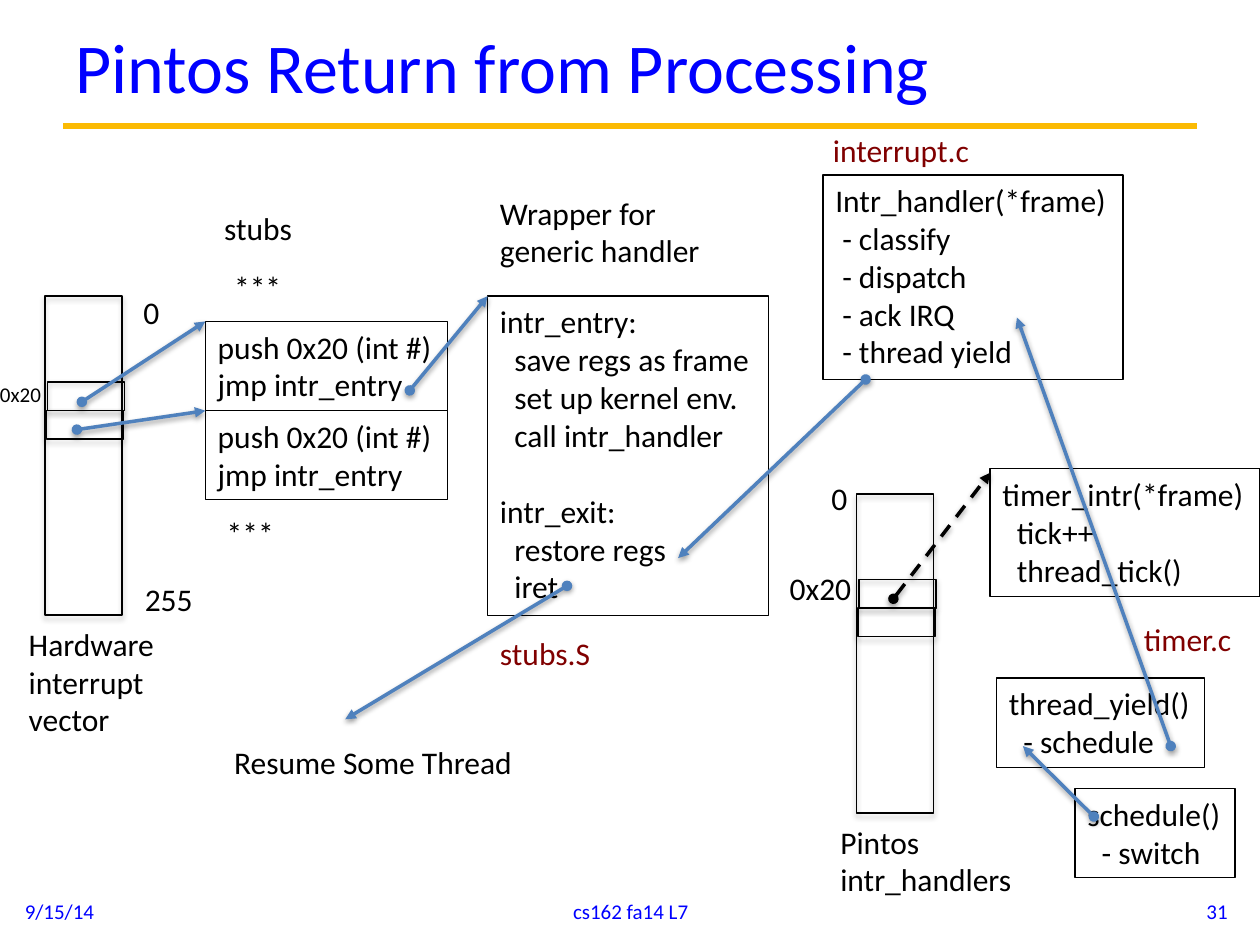
"""Build the slide on how Pintos returns from interrupt processing."""
from lxml import etree
from pptx import Presentation
from pptx import util as u
from pptx.dml.color import RGBColor
from pptx.enum import dml, shapes, text
from pptx.oxml.ns import qn

COLORS = {
    "blue": "0000FF",
    "gold": "FBBA03",
    "black": "000000",
    "arrow": "4F81BD",
    "file": "800000",
}
ALIGN = text.PP_ALIGN
LINE_PER_POINT = 0.043


class Diagram:
    """Hold the style and the current slide, and draw each kind of element."""

    font = "Calibri"
    size = 18

    def __init__(self, slide):
        self.slide = slide

    def color(self, name):
        return RGBColor.from_string(COLORS[name])

    def add_run(self, paragraph, words, size, color):
        run = paragraph.add_run()
        run.text = words
        run.font.name = self.font
        run.font.size = u.Pt(size)
        run.font.color.rgb = self.color(color)

    def outline(self, shape, color="black", width=0.75):
        shape.line.color.rgb = self.color(color)
        shape.line.width = u.Pt(width)

    def shadow(self, shape, distance, percent):
        effects = etree.SubElement(shape._element.spPr, qn("a:effectLst"))
        outer = etree.SubElement(effects, qn("a:outerShdw"), blurRad="40000",
                                 dist=str(distance), dir="5400000", rotWithShape="0")
        black = etree.SubElement(outer, qn("a:srgbClr"), val=COLORS["black"])
        etree.SubElement(black, qn("a:alpha"), val=str(percent * 1000))

    def title(self, words):
        title = self.slide.shapes.title
        title.left, title.top = u.Cm(1.27), u.Cm(0.1)
        title.width, title.height = u.Cm(22.86), u.Cm(2.44)
        title.text_frame.vertical_anchor = text.MSO_ANCHOR.MIDDLE
        paragraph = title.text_frame.paragraphs[0]
        paragraph.alignment = ALIGN.LEFT
        self.add_run(paragraph, words, 40, "blue")

    def rule(self, left, right, top):
        rule = self.slide.shapes.add_connector(
            shapes.MSO_CONNECTOR.STRAIGHT, u.Cm(left), u.Cm(top), u.Cm(right), u.Cm(top))
        self.outline(rule, "gold", 3.75)
        etree.SubElement(rule._element.spPr, qn("a:effectLst"))

    def footer(self, left, width, words, alignment):
        box = self.slide.shapes.add_textbox(u.Cm(left), u.Cm(17.86), u.Cm(width), u.Cm(1.02))
        box.text_frame.word_wrap = True
        box.text_frame.vertical_anchor = text.MSO_ANCHOR.MIDDLE
        paragraph = box.text_frame.paragraphs[0]
        paragraph.alignment = alignment
        self.add_run(paragraph, words, 12, "blue")

    def label(self, left, top, width, words, color="black", size=size, rows=1):
        height = rows * size * LINE_PER_POINT + 0.25
        box = self.slide.shapes.add_textbox(u.Cm(left), u.Cm(top), u.Cm(width), u.Cm(height))
        box.text_frame.word_wrap = rows > 1
        self.add_run(box.text_frame.paragraphs[0], words, size, color)

    def code(self, left, top, width, lines, indent=0.0, gaps=0):
        line_height = self.size * LINE_PER_POINT
        height = (len(lines) + gaps) * line_height + 0.25
        box = self.slide.shapes.add_textbox(u.Cm(left), u.Cm(top), u.Cm(width), u.Cm(height))
        self.outline(box)
        frame = box.text_frame
        frame.word_wrap = False
        for index, line in enumerate(lines):
            paragraph = frame.add_paragraph() if index else frame.paragraphs[0]
            if index and line.endswith(":"):
                paragraph.space_before = u.Cm(line_height)
            elif index:
                paragraph._p.get_or_add_pPr().set("marL", str(u.Cm(indent)))
            self.add_run(paragraph, line, self.size, "black")

    def cell(self, left, top, height):
        cell = self.slide.shapes.add_shape(
            shapes.MSO_SHAPE.RECTANGLE, u.Cm(left), u.Cm(top), u.Cm(1.55), u.Cm(height))
        cell.fill.background()
        self.outline(cell)
        self.shadow(cell, 23000, 35)

    def vector(self, left, top):
        self.cell(left, top, 6.43)
        self.cell(left + 0.05, top + 1.73, 0.58)
        self.cell(left + 0.03, top + 2.3, 0.58)

    def arrow(self, start, end, color="arrow", dashed=False):
        points = [u.Cm(value) for value in (*start, *end)]
        arrow = self.slide.shapes.add_connector(shapes.MSO_CONNECTOR.STRAIGHT, *points)
        self.outline(arrow, color, 2)
        if dashed:
            arrow.line.dash_style = dml.MSO_LINE.DASH
        line = arrow._element.spPr.find(qn("a:ln"))
        etree.SubElement(line, qn("a:headEnd"), type="oval")
        etree.SubElement(line, qn("a:tailEnd"), type="triangle")
        self.shadow(arrow, 20000, 38)


def main():
    presentation = Presentation()
    presentation.slide_width, presentation.slide_height = u.Cm(25.4), u.Cm(19.05)
    diagram = Diagram(presentation.slides.add_slide(presentation.slide_layouts[5]))

    diagram.rule(1.27, 24.13, 2.54)
    diagram.title("Pintos Return from Processing")
    diagram.footer(0.25, 5.92, "9/15/14", ALIGN.LEFT)
    diagram.footer(8.69, 8.05, "cs162 fa14 L7", ALIGN.CENTER)
    diagram.footer(19.08, 5.92, "31", ALIGN.RIGHT)

    diagram.vector(0.91, 5.97)
    diagram.label(2.64, 5.79, 0.84, "0")
    diagram.label(-0.25, 7.57, 1.35, "0x20", size=12)
    diagram.label(2.67, 11.56, 1.5, "255")
    diagram.label(0.33, 12.47, 4.45, "Hardware interrupt vector", rows=3)

    diagram.label(4.27, 4.09, 1.9, "stubs")
    diagram.label(4.47, 5.28, 1.47, "***")
    for top in (6.48, 8.28):
        diagram.code(4.14, top, 4.88, ["push 0x20 (int #)", "jmp intr_entry"])
    diagram.label(4.32, 10.24, 1.47, "***")

    diagram.label(9.83, 3.78, 5.66, "Wrapper for generic handler", rows=2)
    diagram.code(9.83, 5.97, 5.66, [
        "intr_entry:", "save regs as frame", "set up kernel env.", "call intr_handler",
        "intr_exit:", "restore regs", "iret"], indent=0.29, gaps=1)
    diagram.label(9.83, 12.65, 2.36, "stubs.S", "file")
    diagram.label(4.47, 14.86, 6.2, "Resume Some Thread")

    diagram.label(16.54, 2.51, 3.3, "interrupt.c", "file")
    diagram.code(16.59, 3.53, 6.05, [
        "Intr_handler(*frame)", "- classify", "- dispatch", "- ack IRQ",
        "- thread yield"], indent=0.14)

    diagram.vector(17.27, 9.96)
    diagram.label(16.51, 9.53, 0.84, "0")
    diagram.label(15.67, 11.35, 1.78, "0x20")
    diagram.label(16.69, 16.46, 4.45, "Pintos intr_handlers", rows=2)

    diagram.code(19.96, 9.45, 5.44, ["timer_intr(*frame)", "tick++", "thread_tick()"], 0.29)
    diagram.label(22.81, 12.37, 2.36, "timer.c", "file")
    diagram.code(20.09, 13.67, 4.19, ["thread_yield()", "- schedule"], 0.29)
    diagram.code(21.67, 15.9, 3.23, ["schedule()", "- switch"], 0.29)

    for start, end in (
        ((1.65, 8.1), (4.14, 6.48)),
        ((1.55, 8.66), (4.14, 8.28)),
        ((8.26, 7.87), (9.83, 5.97)),
        ((17.45, 7.65), (13.67, 11.25)),
        ((23.6, 15.04), (20.5, 6.4)),
        ((22.05, 16.46), (20.62, 15.04)),
        ((11.43, 11.81), (6.96, 14.5)),
    ):
        diagram.arrow(start, end)
    diagram.arrow((18.01, 12.07), (19.96, 9.53), "black", dashed=True)

    presentation.save("out.pptx")


if __name__ == "__main__":
    main()
